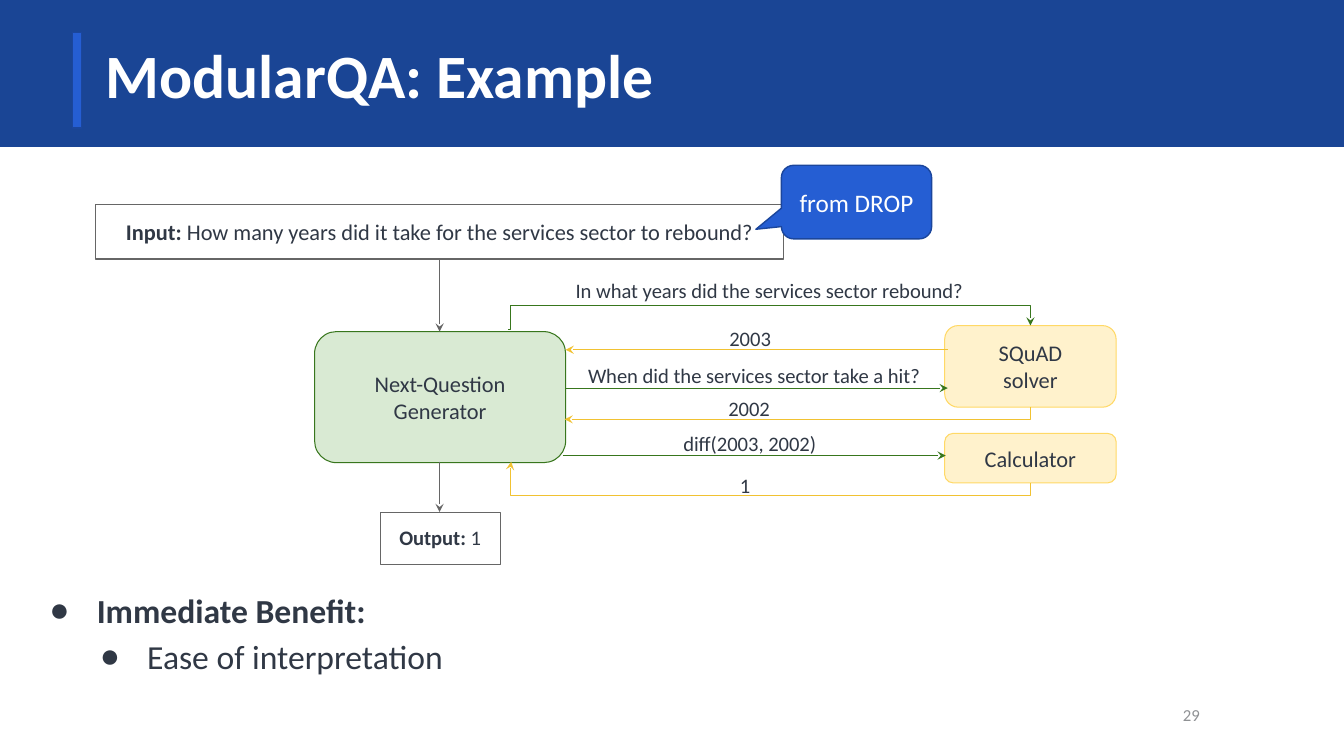
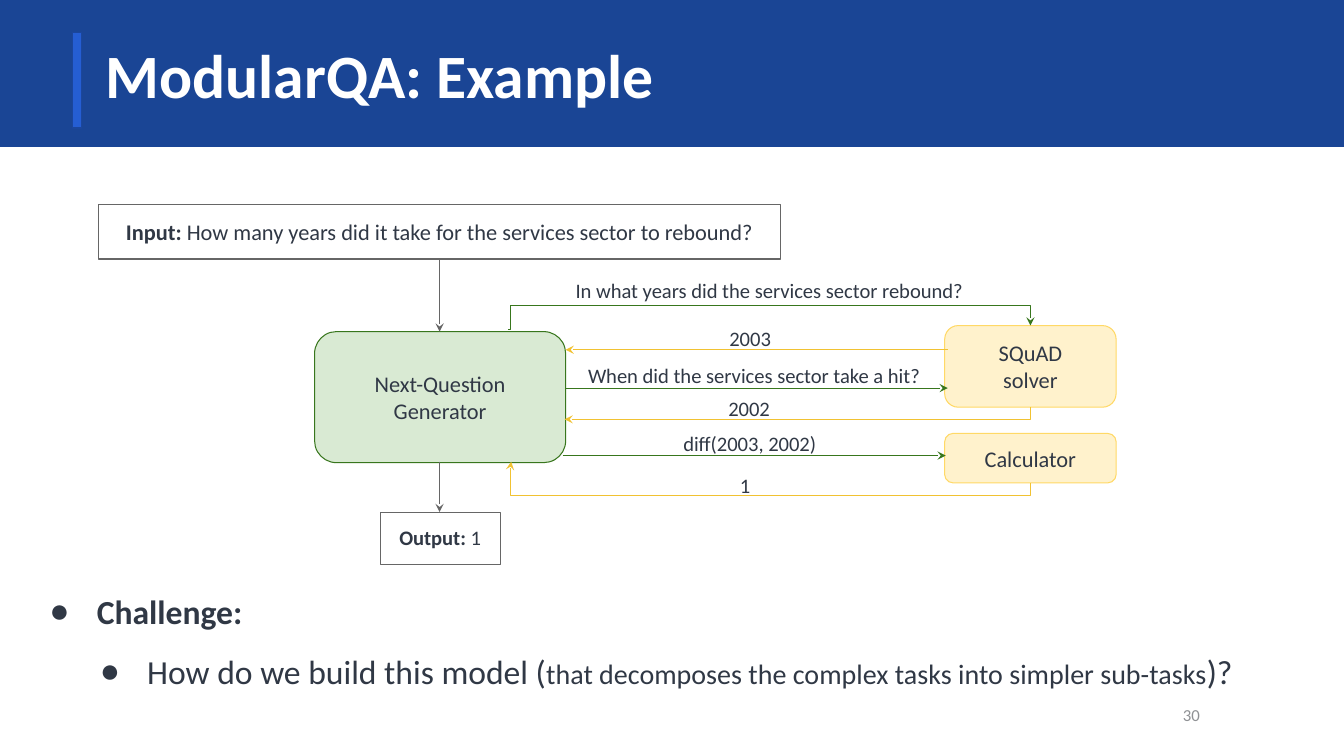
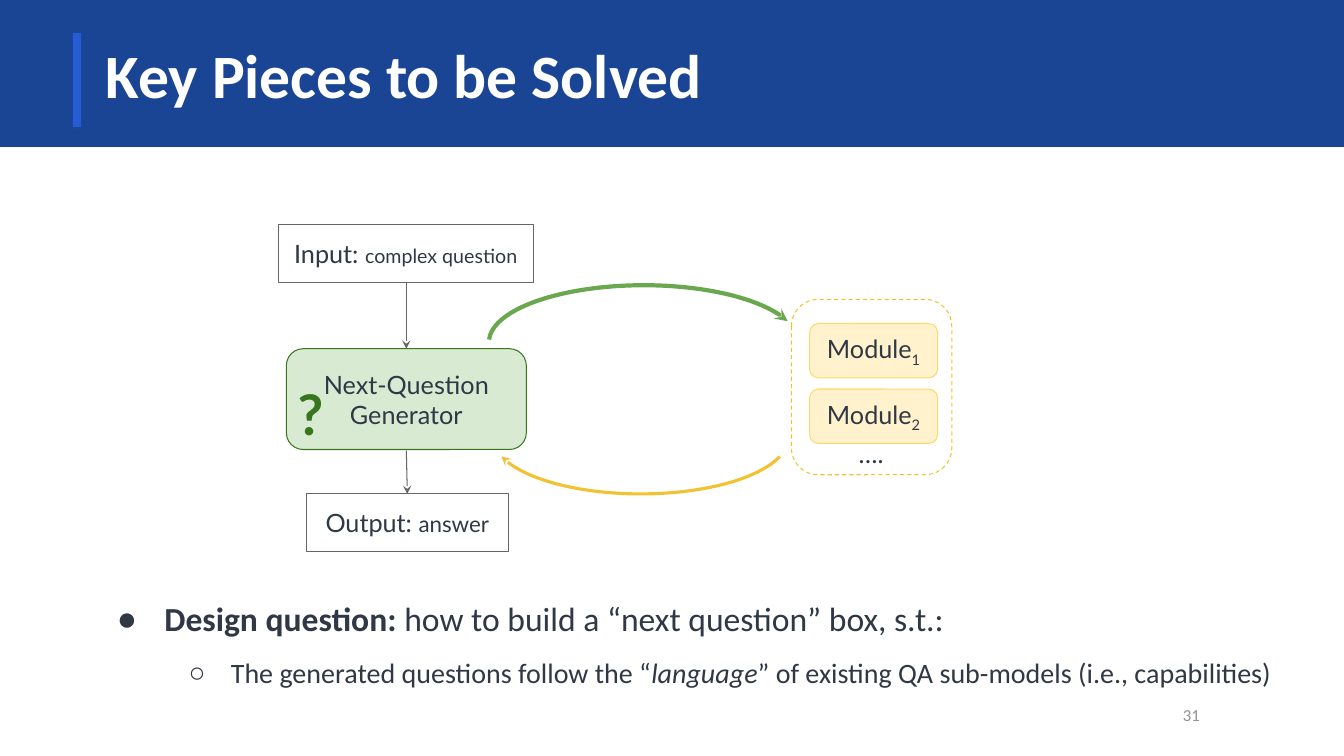
"""Build three slides on ModularQA: two worked examples and the key pieces to be solved."""
from lxml.etree import SubElement
from pptx import Presentation
from pptx.dml.color import RGBColor
from pptx.enum.dml import MSO_LINE
from pptx.enum.shapes import MSO_CONNECTOR, MSO_SHAPE
from pptx.enum.text import MSO_ANCHOR, MSO_AUTO_SIZE, PP_ALIGN
from pptx.oxml.ns import qn
from pptx.util import Inches, Pt

COLORS = {
    "band": "1A4595", "accent": "255ED3", "accent_line": "1B469C",
    "white": "FFFFFF", "text": "303845", "number": "8F9194", "gray": "666666",
    "green": "38761D", "light_green": "D9EAD3", "arc_green": "6AA84F",
    "yellow": "F1C232", "light_yellow": "FFF2CC", "yellow_line": "FFD966",
}
RGB = {name: RGBColor.from_string(value) for name, value in COLORS.items()}
RECT, ROUND = MSO_SHAPE.RECTANGLE, MSO_SHAPE.ROUNDED_RECTANGLE
CALLOUT = MSO_SHAPE.ROUNDED_RECTANGULAR_CALLOUT
PAD = 0.13
LABEL = 14.67


def add_runs(p, runs, color="text", font="Calibri"):
    for text, size, *style in runs:
        if "break" in style:
            p.add_line_break()
        r = p.add_run()
        r.text = text
        r.font.size = Pt(size)
        r.font.name = font
        r.font.color.rgb = RGB[color]
        r.font.bold = "bold" in style
        r.font.italic = "italic" in style
        if "sub" in style:
            r.font._element.set("baseline", "-25000")


def add_box(s, kind, at, fill=None, line=None, runs=(), color="text", font="Calibri", width=0.75):
    at = [Inches(v) for v in at]
    if kind is None:
        sp = s.shapes.add_textbox(*at)
    else:
        sp = s.shapes.add_shape(kind, *at)
        sp.shadow.inherit = False
        if fill:
            sp.fill.solid()
            sp.fill.fore_color.rgb = RGB[fill]
        else:
            sp.fill.background()
        sp.line.color.rgb = RGB[line]
        sp.line.width = Pt(width)
    tf = sp.text_frame
    tf.word_wrap = True
    tf.vertical_anchor = MSO_ANCHOR.TOP if kind in (None, RECT) else MSO_ANCHOR.MIDDLE
    tf.margin_left = tf.margin_right = Inches(0.1 if kind == CALLOUT else PAD)
    tf.margin_top = tf.margin_bottom = Inches(PAD)
    tf.paragraphs[0].alignment = PP_ALIGN.CENTER
    add_runs(tf.paragraphs[0], runs, color, font)
    return sp


prs = Presentation()
prs.slide_width, prs.slide_height = Inches(13.33), Inches(7.5)
layout = prs.slide_layouts[1]
title = layout.placeholders[0]
title.left, title.top, title.width, title.height = [Inches(v) for v in (0.92, 0.32, 11.5, 1.05)]
slides = [prs.slides.add_slide(layout) for _ in range(3)]

bands = [((0, 0, 13.33, 1.45), "band", "band"), ((0.72, 0.32, 0.09, 0.95), "accent", "accent_line")]
for i, (at, fill, line) in enumerate(bands):
    sp = add_box(slides[0], RECT, at, fill, line, width=1)
    sp._element.nvSpPr.cNvPr.id = 20 + i
    layout.shapes._spTree.insert(2 + i, sp._element)

contents = [
    ("ModularQA: Example", (0.16, 5.66, 12.72, 1.2), PAD, [
        (0, 0.67, -0.47, 1.15, "●", [("Immediate Benefit:", 24, "bold")]),
        (1, 1.17, -0.47, 1.15, "●", [("Ease of interpretation", 24)]),
    ]),
    ("ModularQA: Example", (0.16, 5.73, 12.72, 1.28), PAD, [
        (0, 0.67, -0.47, 1, "●", [("Challenge:", 24, "bold")]),
        (1, 1.17, -0.47, 1.5, "●", [
            ("How do we build this model (", 24),
            ("that decomposes the complex tasks into simpler sub-tasks", 20),
            (")?", 24)]),
    ]),
    ("Key Pieces to be Solved", (0.86, 5.93, 12.12, 0.81), 0.05, [
        (0, 0.67, -0.47, 0.9, "●", [
            ("Design question: ", 24, "bold"),
            ("how to build a “next question” box, s.t.:", 24)]),
        (1, 1.33, -0.42, 1.5, "○", [
            ("The generated questions follow the “", 20),
            ("language", 20, "italic"),
            ("” of existing QA sub-models (i.e., capabilities)", 20)]),
    ]),
]
for number, (s, (heading, at, pad, bullets)) in enumerate(zip(slides, contents), 29):
    tf = s.shapes.title.text_frame
    tf.vertical_anchor = MSO_ANCHOR.TOP
    tf.auto_size = MSO_AUTO_SIZE.NONE
    tf.margin_left = tf.margin_right = tf.margin_top = tf.margin_bottom = Inches(PAD)
    p = tf.paragraphs[0]
    p.alignment = PP_ALIGN.LEFT
    p.line_spacing = 0.9
    add_runs(p, [(heading, 44, "bold")], "white")

    body = s.placeholders[1]
    body.left, body.top, body.width, body.height = [Inches(v) for v in at]
    tf = body.text_frame
    tf.auto_size = MSO_AUTO_SIZE.NONE
    tf.margin_left = tf.margin_right = Inches(max(pad, 0.1))
    tf.margin_top = tf.margin_bottom = Inches(pad)
    for i, (level, margin, indent, spacing, char, runs) in enumerate(bullets):
        p = tf.add_paragraph() if i else tf.paragraphs[0]
        p.level = level
        pPr = p._p.get_or_add_pPr()
        pPr.set("marL", str(Inches(margin)))
        pPr.set("indent", str(Inches(indent)))
        SubElement(SubElement(pPr, qn("a:buClr")), qn("a:srgbClr"), val=COLORS["text"])
        SubElement(pPr, qn("a:buChar"), char=char)
        p.line_spacing = spacing
        p.space_before = Pt(0)
        add_runs(p, runs)

    sp = add_box(s, None, (11.45, 6.89, 0.58, 0.4), runs=[(str(number), 12)], color="number")
    sp.text_frame.vertical_anchor = MSO_ANCHOR.MIDDLE
    sp.text_frame.paragraphs[0].alignment = PP_ALIGN.RIGHT

example_boxes = [
    (ROUND, (9.37, 3.23, 1.7, 0.81), "light_yellow", "yellow_line",
     [("SQuAD", 16), ("solver", 16, "break")]),
    (ROUND, (9.37, 4.3, 1.7, 0.49), "light_yellow", "yellow_line", [("Calculator", 16)]),
    (ROUND, (3.12, 3.29, 2.49, 1.3), "light_green", "green", [("Next-Question Generator", 16)]),
    (RECT, (3.77, 5.08, 1.19, 0.52), None, "gray", [("Output: ", LABEL, "bold"), ("1", LABEL)]),
]
example_labels = [
    (5.4, 2.64, 4.45, "In what years did the services sector rebound?"),
    (6.38, 3.11, 2.12, "2003"),
    (5.55, 3.48, 3.85, "When did the services sector take a hit?"),
    (6.71, 3.81, 1.44, "2002"),
    (6.03, 4.15, 2.81, "diff(2003, 2002)"),
    (6.67, 4.57, 1.44, "1"),
]
question = [("Input: ", 16, "bold"),
            ("How many years did it take for the services sector to rebound?", 16)]
for s, left, width in ((slides[0], 0.95, 6.82), (slides[1], 0.98, 6.76)):
    add_box(s, RECT, (left, 2.03, width, 0.54), None, "gray", question)
    for box in example_boxes:
        add_box(s, *box)
    for x, y, w, text in example_labels:
        add_box(s, None, (x, y, w, 0.52), runs=[(text, LABEL)])

sp = add_box(slides[0], CALLOUT, (7.75, 1.64, 1.49, 0.73), "accent", "accent_line",
             [("from DROP", 18)], "white", width=1)
sp.adjustments[0], sp.adjustments[1] = -0.67, 0.37

pieces = slides[2]
group = add_box(pieces, ROUND, (7.85, 2.97, 1.59, 1.74), None, "yellow")
group.line.dash_style = MSO_LINE.DASH
piece_boxes = [
    (ROUND, (2.84, 3.46, 2.38, 1), "light_green", "green", [("Next-Question Generator", 18)]),
    (RECT, (2.76, 2.23, 2.53, 0.57), None, "gray", [("Input: ", 18), ("complex question", 14)]),
    (RECT, (3.04, 4.9, 2, 0.57), None, "gray", [("Output: ", 18), ("answer", 16)]),
    (None, (8.19, 4.22, 0.9, 0.57), None, None, [("….", 18)]),
    (None, (2.76, 3.64, 0.64, 0.94), None, None, [("?", 40, "bold")], "green"),
]
for i in range(2):
    piece_boxes.append((ROUND, (8.03, 3.21 + i * 0.65, 1.27, 0.54), "light_yellow", "yellow_line",
                        [("Module", 18), (str(i + 1), 18, "sub")]))
for box in piece_boxes:
    add_box(pieces, *box, font="Lato")

arcs = [((4.89, 3.78, 2.93, 1.12), 180, (112.62, 211.36), "yellow", 2.25),
        ((4.85, 2.83, 3.07, 1.13), 0, (112.98, 215.43), "arc_green", 3)]
for at, rotation, ends, color, width in arcs:
    sp = add_box(pieces, MSO_SHAPE.ARC, at, None, color, width=width)
    sp.rotation = rotation
    sp._element.spPr.xfrm.set("flipH", "1")
    sp.adjustments[0], sp.adjustments[1] = ends
    SubElement(sp.line._get_or_add_ln(), qn("a:headEnd"), type="stealth")

example_lines = [
    ((4.36, 2.57, 4.36, 3.29), "gray", "tailEnd", None, ()),
    ((4.36, 4.58, 4.36, 5.08), "gray", "tailEnd", None, ()),
    ((5.04, 3.27, 10.22, 3.23), "green", "tailEnd", "bentConnector4", (500, 600000)),
    ((9.4, 3.47, 5.61, 3.47), "yellow", "tailEnd", None, ()),
    ((5.61, 3.85, 9.4, 3.85), "green", "tailEnd", None, ()),
    ((5.6, 4.16, 10.22, 4.04), "yellow", "headEnd", "bentConnector2", ()),
    ((5.58, 4.52, 9.38, 4.52), "green", "tailEnd", None, ()),
    ((5.07, 4.58, 10.22, 4.79), "yellow", "headEnd", "bentConnector4", (-200, 161000)),
]
piece_lines = [
    ((4.03, 2.8, 4.03, 3.46), "gray", "tailEnd", None, ()),
    ((4.03, 4.47, 4.04, 4.9), "gray", "tailEnd", None, ()),
]
for s, lines in zip(slides, (example_lines, example_lines, piece_lines)):
    for ends, color, arrow, bend, adjustments in lines:
        kind = MSO_CONNECTOR.ELBOW if bend else MSO_CONNECTOR.STRAIGHT
        cxn = s.shapes.add_connector(kind, *[Inches(v) for v in ends])
        cxn.line.color.rgb = RGB[color]
        cxn.line.width = Pt(0.75)
        SubElement(cxn.line._get_or_add_ln(), qn("a:" + arrow), type="stealth")
        spPr = cxn._element.spPr
        SubElement(spPr, qn("a:effectLst"))
        if bend:
            geom = spPr.find(qn("a:prstGeom"))
            geom.set("prst", bend)
            for i, value in enumerate(adjustments, 1):
                SubElement(geom.find(qn("a:avLst")), qn("a:gd"), name=f"adj{i}", fmla=f"val {value}")

prs.save("out.pptx")
